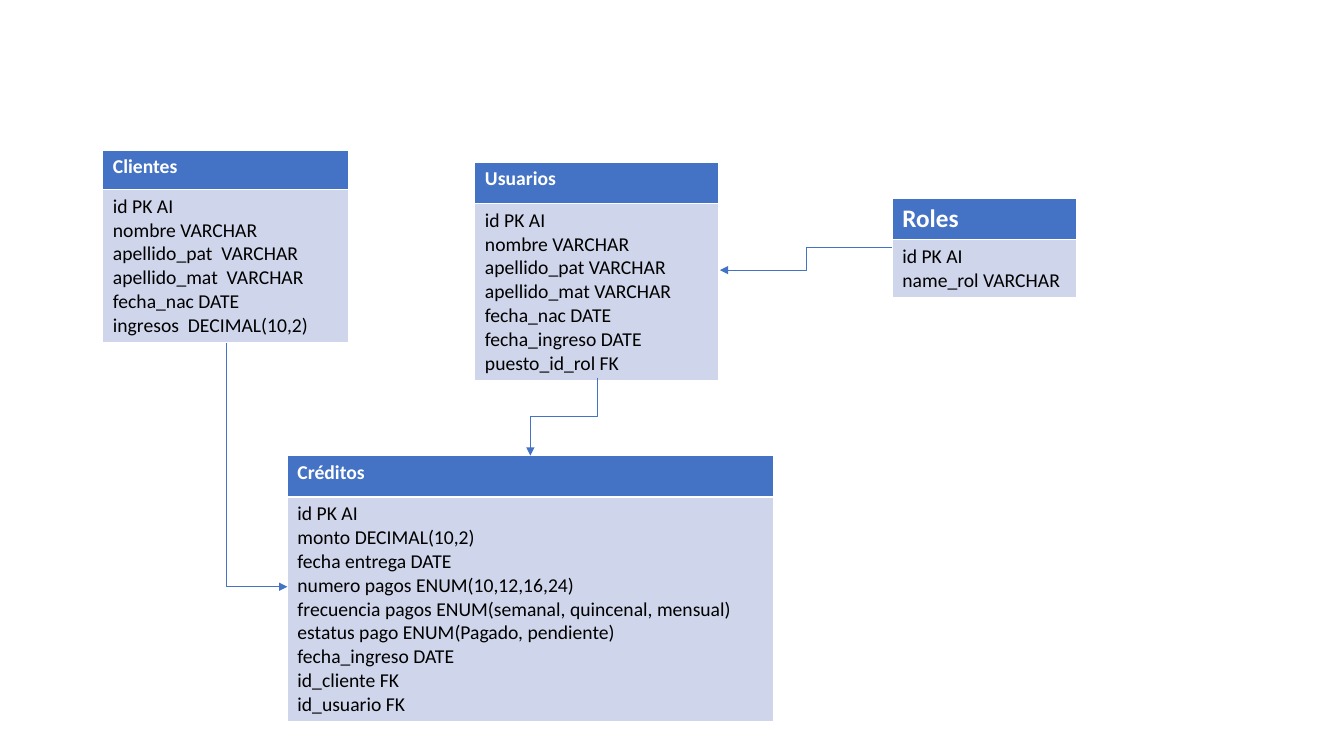
import dataclasses

import lxml.etree
import pptx
import pptx.dml.color
import pptx.enum.shapes
import pptx.oxml.ns
import pptx.util

Inches = pptx.util.Inches


@dataclasses.dataclass(frozen=True)
class Theme:
    font: str = "Calibri"
    accent: str = "4472C4"
    body_fill: str = "CFD5EA"
    header_text: str = "FFFFFF"
    body_text: str = "000000"
    body_size: int = 14
    large_size: int = 18
    line_width: float = 0.5


class EntityDiagram:
    """Draws entity tables and their relations on one slide."""

    def __init__(self, slide, theme):
        self.slide = slide
        self.theme = theme

    def fill_cell(self, cell, text, fill, color, size, bold):
        cell.fill.solid()
        cell.fill.fore_color.rgb = pptx.dml.color.RGBColor.from_string(fill)
        cell.text_frame.text = text
        for paragraph in cell.text_frame.paragraphs:
            for run in paragraph.runs:
                run.font.name = self.theme.font
                run.font.size = pptx.util.Pt(size)
                run.font.bold = bold
                run.font.color.rgb = pptx.dml.color.RGBColor.from_string(color)

    def entity(self, title, fields, left, top, width, height, header=0.41, title_size=None):
        theme = self.theme
        table = self.slide.shapes.add_table(
            2, 1, Inches(left), Inches(top), Inches(width), Inches(height)).table
        table.rows[0].height = Inches(header)
        table.rows[1].height = Inches(height - header)
        self.fill_cell(table.cell(0, 0), title, theme.accent, theme.header_text,
                       title_size or theme.body_size, True)
        self.fill_cell(table.cell(1, 0), "\n".join(fields), theme.body_fill,
                       theme.body_text, theme.body_size, False)

    def relation(self, start, end, downward=False, bends=2):
        (x1, y1), (x2, y2) = start, end
        if downward:
            center_x, center_y = (x1 + x2) / 2, (y1 + y2) / 2
            half_width, half_height = (y2 - y1) / 2, (x1 - x2) / 2
            x1, x2 = center_x - half_width, center_x + half_width
            y1, y2 = center_y - half_height, center_y + half_height
        arrow = self.slide.shapes.add_connector(
            pptx.enum.shapes.MSO_CONNECTOR.ELBOW,
            Inches(x1), Inches(y1), Inches(x2), Inches(y2))
        arrow.line.color.rgb = pptx.dml.color.RGBColor.from_string(self.theme.accent)
        arrow.line.width = pptx.util.Pt(self.theme.line_width)
        qn = pptx.oxml.ns.qn
        properties = arrow._element.spPr
        if downward:
            properties.find(qn("a:xfrm")).set("rot", str(90 * 60000))
        properties.find(qn("a:prstGeom")).set("prst", f"bentConnector{bends + 1}")
        lxml.etree.SubElement(properties.find(qn("a:ln")), qn("a:tailEnd"), type="triangle")
        lxml.etree.SubElement(properties, qn("a:effectLst"))


def main():
    presentation = pptx.Presentation()
    presentation.slide_width = Inches(13.33)
    presentation.slide_height = Inches(7.5)
    theme = Theme()
    diagram = EntityDiagram(
        presentation.slides.add_slide(presentation.slide_layouts[6]), theme)

    diagram.relation((8.85, 2.45), (7.14, 2.68))
    diagram.entity("Clientes", [
        "id PK AI",
        "nombre VARCHAR",
        "apellido_pat  VARCHAR",
        "apellido_mat  VARCHAR",
        "fecha_nac DATE",
        "ingresos  DECIMAL(10,2)",
    ], 1.02, 1.49, 2.44, 1.91, header=0.39)
    diagram.entity("Usuarios", [
        "id PK AI",
        "nombre VARCHAR",
        "apellido_pat VARCHAR",
        "apellido_mat VARCHAR",
        "fecha_nac DATE",
        "fecha_ingreso DATE",
        "puesto_id_rol FK",
    ], 4.71, 1.61, 2.42, 2.14)
    diagram.entity("Créditos", [
        "id PK AI",
        "monto DECIMAL(10,2)",
        "fecha entrega DATE",
        "numero pagos ENUM(10,12,16,24)",
        "frecuencia pagos ENUM(semanal, quincenal, mensual)",
        "estatus pago ENUM(Pagado, pendiente)",
        "fecha_ingreso DATE",
        "id_cliente FK",
        "id_usuario FK",
    ], 2.85, 4.52, 4.82, 2.61)
    diagram.relation((5.92, 3.75), (5.26, 4.52), downward=True)
    diagram.entity("Roles", ["id PK AI", "name_rol VARCHAR"],
                   8.85, 1.97, 1.83, 0.97, title_size=theme.large_size)
    diagram.relation((2.24, 3.4), (2.85, 5.82), downward=True, bends=1)

    presentation.save("out.pptx")


if __name__ == "__main__":
    main()
